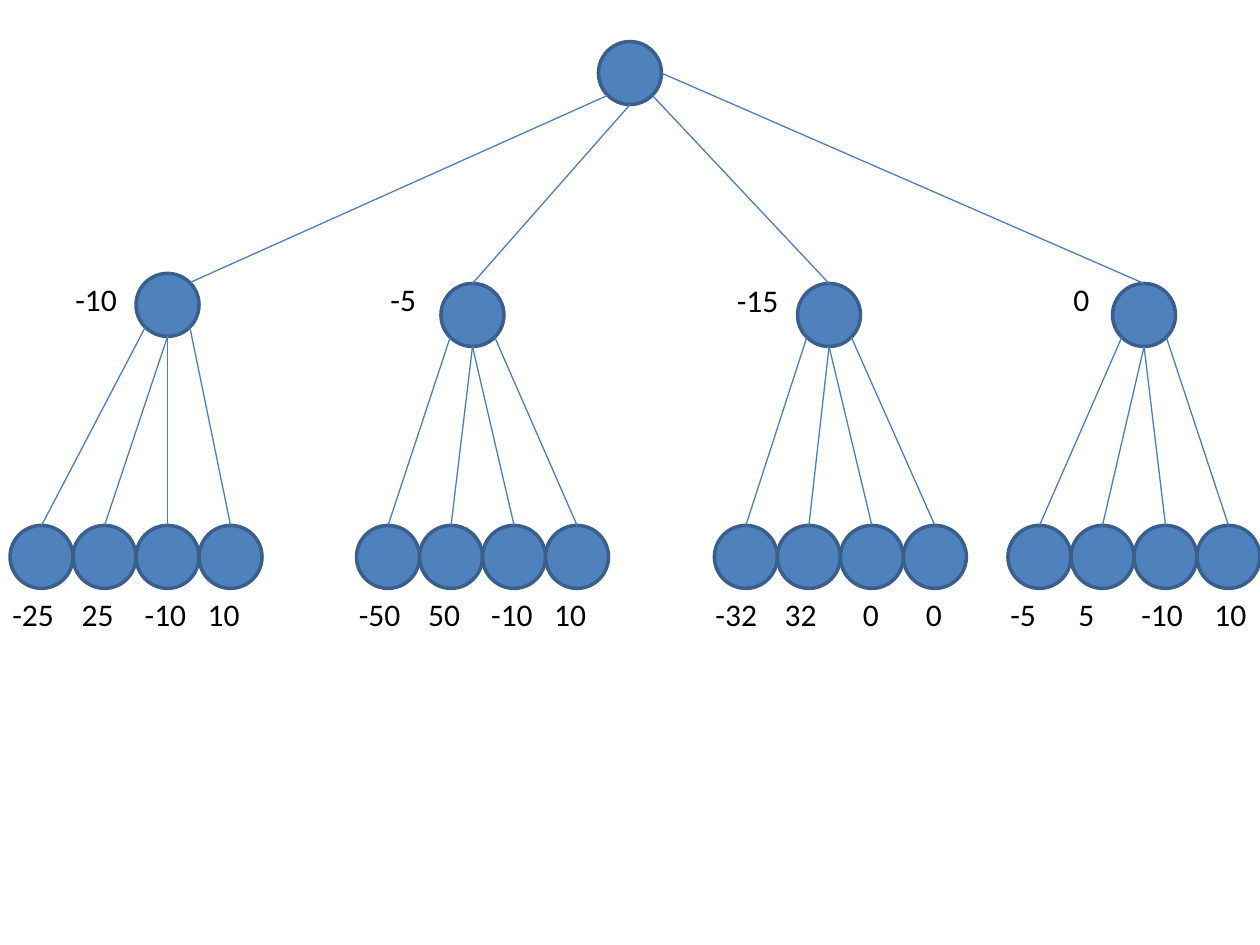
import math
from dataclasses import dataclass

from lxml import etree
from pptx import Presentation
from pptx.dml.color import RGBColor
from pptx.enum import shapes, text
from pptx.oxml import ns
from pptx.util import Inches, Pt

COLORS = {"node": "4F81BD", "outline": "3A5F8C", "edge": "4B7EBC", "label": "000000"}
SIZE = 0.5
RADIUS = SIZE / 2
DIAGONAL = RADIUS * math.sqrt(0.5)
LEAF_TOP = 4.17
LEAF_LABEL_TOP = 4.67
SITES = {
    "top_right": (DIAGONAL, -DIAGONAL),
    "right": (RADIUS, 0),
    "bottom_right": (DIAGONAL, DIAGONAL),
    "bottom": (0, RADIUS),
    "bottom_left": (-DIAGONAL, DIAGONAL),
    "top": (0, -RADIUS),
}
ROOT_SITES = ("bottom_left", "bottom", "bottom_right", "right")
BRANCH_SITES = ("bottom_left", "bottom", "bottom", "bottom_right")


@dataclass
class Label:
    value: str
    left: float
    top: float = LEAF_LABEL_TOP


@dataclass
class Branch:
    left: float
    top: float
    label: Label
    leaf_left: float
    leaf_labels: list[Label]
    entry: str = "top"


@dataclass
class Node:
    left: float
    top: float
    sp: object

    def site(self, name: str) -> tuple[float, float]:
        dx, dy = SITES[name]
        return self.left + RADIUS + dx, self.top + RADIUS + dy


BRANCHES = [
    Branch(1.08, 2.17, Label("-10", 0.5, 2.17), 0.08,
           [Label("-25", 0), Label("25", 0.55), Label("-10", 1.05), Label("10", 1.55)],
           "top_right"),
    Branch(3.5, 2.25, Label("-5", 3, 2.17), 2.83,
           [Label("-50", 2.75), Label("50", 3.3), Label("-10", 3.8), Label("10", 4.3)]),
    Branch(6.33, 2.25, Label("-15", 5.75, 2.18), 5.67,
           [Label("-32", 5.58), Label("32", 6.13), Label("0", 6.75), Label("0", 7.25)]),
    Branch(8.83, 2.25, Label("0", 8.42, 2.17), 8,
           [Label("-5", 7.92), Label("5", 8.46), Label("-10", 8.96), Label("10", 9.54)]),
]


def rgb(name: str) -> RGBColor:
    return RGBColor.from_string(COLORS[name])


def add_node(s, left: float, top: float) -> Node:
    sp = s.shapes.add_shape(shapes.MSO_SHAPE.OVAL, Inches(left), Inches(top),
                            Inches(SIZE), Inches(SIZE))
    sp.shadow.inherit = False
    sp.fill.solid()
    sp.fill.fore_color.rgb = rgb("node")
    sp.line.color.rgb = rgb("outline")
    sp.line.width = Pt(2)
    return Node(left, top, sp)


def add_edge(s, parent: Node, exit_site: str, child: Node, entry: str = "top") -> None:
    points = parent.site(exit_site) + child.site(entry)
    line = s.shapes.add_connector(shapes.MSO_CONNECTOR.STRAIGHT, *map(Inches, points))
    if entry == "top":
        line.end_connect(child.sp, 0)
    line.line.color.rgb = rgb("edge")
    line.line.width = Pt(0.75)
    etree.SubElement(line._element.spPr, ns.qn("a:effectLst"))


def add_label(s, label: Label) -> None:
    minuses = label.value.count("-")
    width = 0.2 + 0.08 * minuses + 0.13 * (len(label.value) - minuses)
    box = s.shapes.add_textbox(Inches(label.left), Inches(label.top),
                               Inches(width), Inches(0.4))
    tf = box.text_frame
    tf.word_wrap = False
    tf.auto_size = text.MSO_AUTO_SIZE.SHAPE_TO_FIT_TEXT
    r = tf.paragraphs[0].add_run()
    r.text = label.value
    r.font.size = Pt(18)
    r.font.name = "Calibri"
    r.font.color.rgb = rgb("label")


def main() -> None:
    prs = Presentation()
    prs.slide_width, prs.slide_height = Inches(10), Inches(7.5)
    s = prs.slides.add_slide(prs.slide_layouts[6])

    root = add_node(s, 4.75, 0.33)
    parents = [add_node(s, b.left, b.top) for b in BRANCHES]
    leaves = [[add_node(s, b.leaf_left + i * SIZE, LEAF_TOP)
               for i in range(len(b.leaf_labels))] for b in BRANCHES]

    for branch, parent, site in zip(BRANCHES, parents, ROOT_SITES):
        add_edge(s, root, site, parent, branch.entry)
    for parent, group in zip(parents, leaves):
        for leaf, site in zip(group, BRANCH_SITES):
            add_edge(s, parent, site, leaf)

    for branch in BRANCHES:
        for label in [*branch.leaf_labels, branch.label]:
            add_label(s, label)

    prs.save("out.pptx")


if __name__ == "__main__":
    main()
